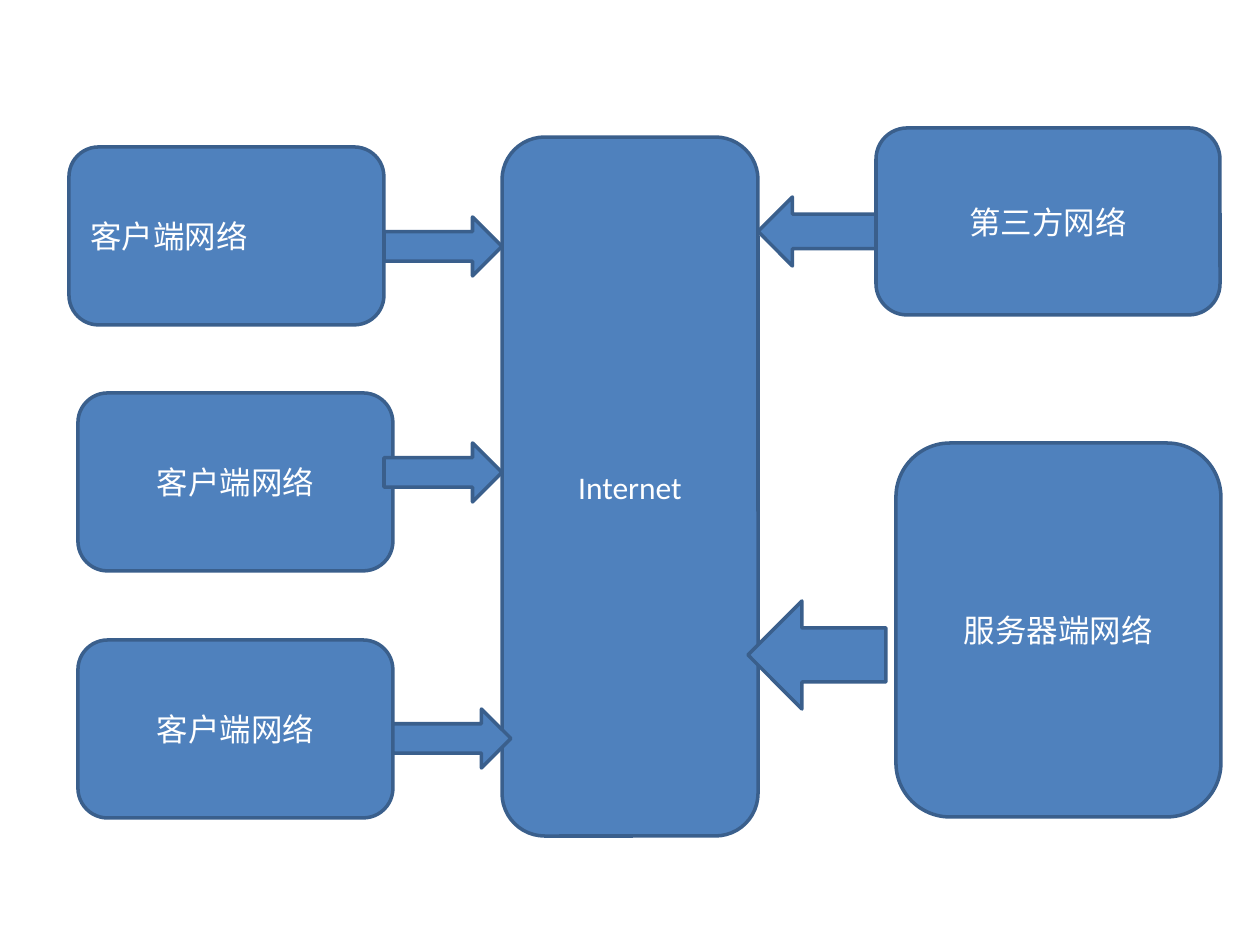
from dataclasses import dataclass

from pptx import Presentation
from pptx.dml.color import RGBColor
from pptx.enum.shapes import MSO_SHAPE
from pptx.enum.text import MSO_ANCHOR, PP_ALIGN
from pptx.util import Emu, Pt

BOX = MSO_SHAPE.ROUNDED_RECTANGLE
LEFT_ARROW, RIGHT_ARROW = MSO_SHAPE.LEFT_ARROW, MSO_SHAPE.RIGHT_ARROW
LEFT, CENTER = PP_ALIGN.LEFT, PP_ALIGN.CENTER
MIDDLE = MSO_ANCHOR.MIDDLE

EMU_PER_PX = 914400 / 126
FILL, OUTLINE, TEXT = "4F81BD", "3A5F8C", "FFFFFF"
CLIENT = "客户端网络"
CLIENT_SIZE = (315, 178)
CLIENT_ARROW_SIZE = (118, 59)


@dataclass
class Block:
    """A network box or an arrow, measured in pixels."""
    kind: MSO_SHAPE
    x: int
    y: int
    w: int
    h: int
    text: str = ""
    align: PP_ALIGN = CENTER


def px(n: float) -> Emu:
    """Turn pixels into EMU."""
    return Emu(round(n * EMU_PER_PX))


def rgb(value: str) -> RGBColor:
    """Turn a hex string into a colour."""
    return RGBColor.from_string(value)


def add_block(slide, block: Block) -> None:
    """Draw one block with its label, if it has one."""
    sp = slide.shapes.add_shape(
        block.kind, px(block.x), px(block.y), px(block.w), px(block.h))
    sp.shadow.inherit = False
    sp.fill.solid()
    sp.fill.fore_color.rgb = rgb(FILL)
    sp.line.color.rgb = rgb(OUTLINE)
    sp.line.width = Pt(2)
    if not block.text:
        return
    tf = sp.text_frame
    tf.word_wrap = True
    tf.vertical_anchor = MIDDLE
    p = tf.paragraphs[0]
    p.alignment = block.align
    r = p.add_run()
    r.text = block.text
    r.font.size = Pt(18)
    r.font.name = "Calibri"
    r.font.color.rgb = rgb(TEXT)


BLOCKS = [
    Block(BOX, 896, 443, 325, 374, "服务器端网络"),
    Block(BOX, 69, 147, *CLIENT_SIZE, CLIENT, LEFT),
    Block(BOX, 78, 393, *CLIENT_SIZE, CLIENT),
    Block(BOX, 78, 640, *CLIENT_SIZE, CLIENT),
    Block(BOX, 502, 137, 256, 699, "Internet"),
    Block(BOX, 876, 128, 344, 187, "第三方网络"),
    Block(LEFT_ARROW, 748, 601, 138, 108),
    Block(RIGHT_ARROW, 384, 217, *CLIENT_ARROW_SIZE),
    Block(RIGHT_ARROW, 393, 709, *CLIENT_ARROW_SIZE),
    Block(RIGHT_ARROW, 384, 443, *CLIENT_ARROW_SIZE),
    Block(LEFT_ARROW, 758, 197, 118, 69),
]


def main() -> None:
    """Build the network diagram and save it."""
    prs = Presentation()
    prs.slide_width, prs.slide_height = px(1260), px(945)
    s = prs.slides.add_slide(prs.slide_layouts[6])
    for block in BLOCKS:
        add_block(s, block)
    prs.save("out.pptx")


main()
